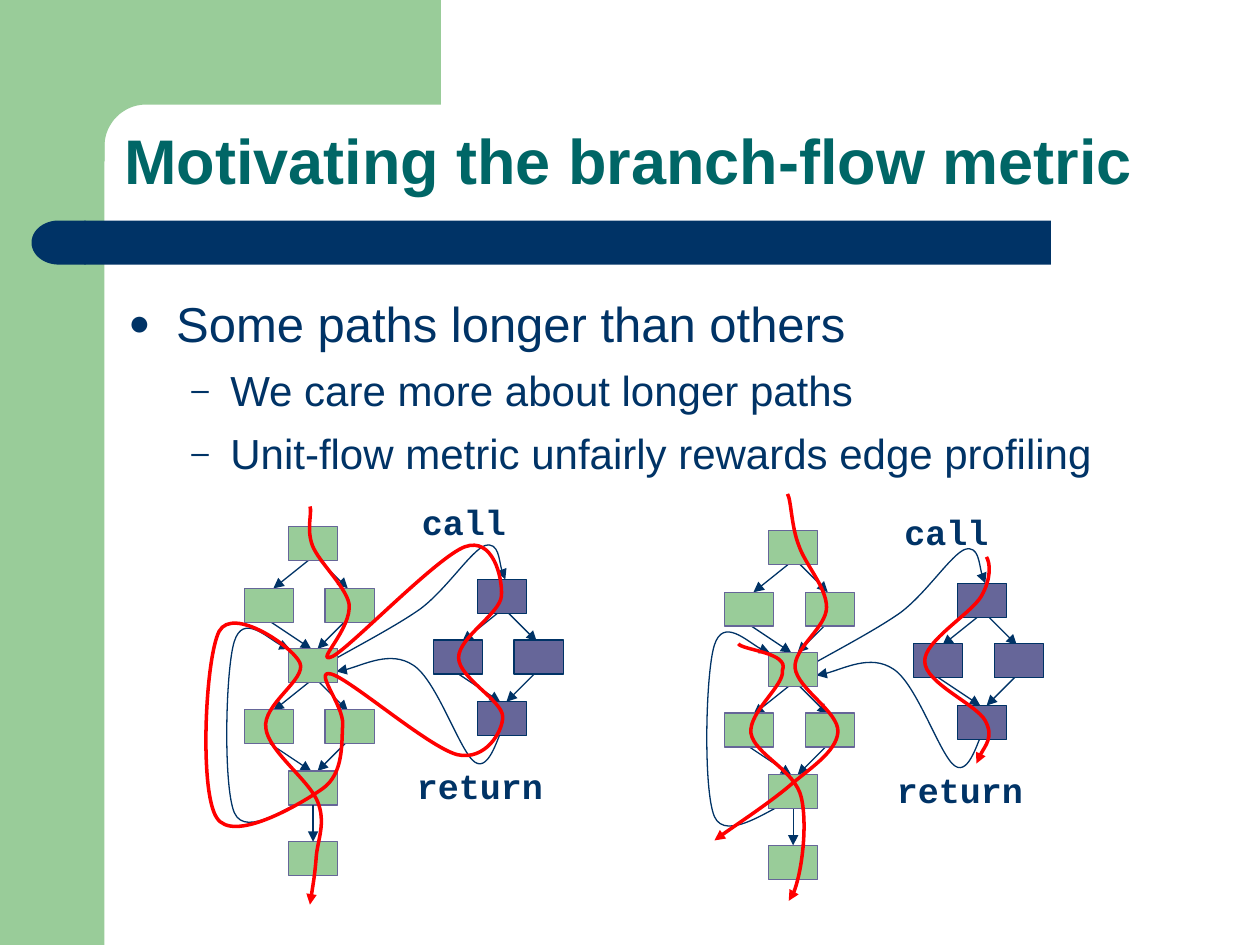
from math import cos, pi, sin

from lxml.etree import SubElement
from pptx import Presentation
from pptx.dml.color import RGBColor
from pptx.enum.shapes import MSO_CONNECTOR, MSO_SHAPE
from pptx.enum.text import MSO_ANCHOR, MSO_AUTO_SIZE
from pptx.oxml.ns import qn
from pptx.shapes.connector import Connector
from pptx.util import Cm, Pt

U = Cm(0.0254)  # all coordinates below count hundredths of an inch
GREEN, NAVY, PURPLE, RED, TEAL = "99CC99", "003366", "666699", "FF0000", "006666"
hex_color = RGBColor.from_string


def style(sp, fill=None, line=None, width=0.75, arrow=False):
    """Set fill, line and arrowhead of a shape or connector, without shadow."""
    if not isinstance(sp, Connector):
        sp.shadow.inherit = False
        if fill:
            sp.fill.solid()
            sp.fill.fore_color.rgb = hex_color(fill)
        else:
            sp.fill.background()
    if line:
        sp.line.color.rgb = hex_color(line)
        sp.line.width = Pt(width)
    else:
        sp.line.fill.background()
    if arrow:
        SubElement(sp.line._get_or_add_ln(), qn("a:tailEnd"), type="triangle")
    if isinstance(sp, Connector):
        SubElement(sp._element.spPr, qn("a:effectLst"))


def write(p, text, size, color=NAVY, font="Arial", bold=False):
    r = p.add_run()
    r.text = text
    r.font.size = Pt(size)
    r.font.name = font
    r.font.bold = bold
    r.font.color.rgb = hex_color(color)


prs = Presentation()
prs.slide_width, prs.slide_height = Cm(25.4), Cm(19.05)
shapes = prs.slides.add_slide(prs.slide_layouts[6]).shapes

# Green frame with a rounded inner corner
sp = shapes.add_shape(MSO_SHAPE.RECTANGLE, 0, 0, 83 * U, 750 * U)
style(sp, GREEN)
corner = [(1160 - 330 * sin(i * pi / 40), 1160 - 330 * cos(i * pi / 40)) for i in range(21)]
fb = shapes.build_freeform(3500, 0, scale=U / 10)
fb.add_line_segments([(3500, 830), *corner, (830, 1280), (500, 1280), (500, 0)])
style(fb.convert_to_shape(), GREEN)

# Navy bar with a round left end
sp = shapes.add_shape(MSO_SHAPE.RECTANGLE, 67 * U, 175 * U, 767 * U, 35 * U)
style(sp, NAVY)
sp = shapes.add_shape(MSO_SHAPE.FLOWCHART_DELAY, 25 * U, 175 * U, 43 * U, 35 * U)
sp.rotation = 180
style(sp, NAVY)

# Title
tf = shapes.add_textbox(89 * U, 89 * U, 856 * U, 73 * U).text_frame
tf.word_wrap = True
tf.vertical_anchor = MSO_ANCHOR.BOTTOM
tf.paragraphs[0].line_spacing = 0.9
write(tf.paragraphs[0], "Motivating the branch-flow metric", 36, TEAL, bold=True)

# Bulleted text
bullets = [
    (0, "Some paths longer than others"),
    (1, "We care more about longer paths"),
    (1, "Unit-flow metric unfairly rewards edge profiling"),
]
levels = [("●", 38, 38, 28), ("–", 81, 31, 24)]
tf = shapes.add_textbox(92 * U, 228 * U, 841 * U, 441 * U).text_frame
tf.word_wrap = True
for i, (level, text) in enumerate(bullets):
    char, margin, hang, size = levels[level]
    p = tf.add_paragraph() if i else tf.paragraphs[0]
    p.level = level
    p.space_before = Pt(7 if i else 0)
    pPr = p._p.get_or_add_pPr()
    pPr.set("marL", str(margin * U))
    pPr.set("indent", str(-hang * U))
    SubElement(SubElement(pPr, qn("a:buClr")), qn("a:srgbClr"), val=NAVY)
    SubElement(pPr, qn("a:buSzPct"), val="75000")
    SubElement(pPr, qn("a:buFont"), typeface="Arial")
    SubElement(pPr, qn("a:buChar"), char=char)
    write(p, text, size)

# Flow graph, given at the place of the left one
node_w, node_h = 39, 27
diamonds = [(229, 418), (229, 515), (379, 460)]
diamond_arrows = [(18, 25, -12, 49), (23, 25, 47, 49), (-18, 73, 18, 97), (47, 73, 23, 97)]
caller_nodes = [(229, 418), (194, 467), (258, 467), (229, 515),
                (194, 563), (258, 563), (229, 612), (229, 668)]
callee_nodes = [(379, 460), (344, 508), (408, 508), (379, 557)]
loop_edge = [(242, 635), (233, 637), (195, 666), (186, 645), (177, 624), (179, 531),
             (186, 509), (193, 487), (221, 514), (230, 515)]
return_edge = [(400, 576), (396, 581), (389, 613), (377, 605), (365, 597), (347, 540),
               (328, 528), (310, 516), (280, 532), (267, 533)]
call_edge = [(259, 527), (272, 519), (313, 498), (334, 483), (355, 467), (374, 437),
             (385, 433), (396, 430), (397, 455), (401, 460)]

# Red paths: a start point, then three points for each Bézier piece
whole_path = [
    (246, 402), (248, 406), (243, 420), (248, 433), (253, 446), (274, 465), (277, 479),
    (280, 499), (248, 528), (264, 521), (279, 513), (347, 442), (369, 434),
    (391, 426), (399, 458), (398, 473), (397, 487), (364, 506), (364, 522),
    (364, 538), (399, 556), (399, 569), (399, 581), (385, 604), (363, 599),
    (340, 593), (278, 539), (263, 535), (248, 531), (273, 560), (272, 575),
    (271, 590), (273, 614), (256, 626), (239, 638), (185, 670), (172, 649),
    (158, 628), (163, 522), (174, 501), (185, 481), (232, 513), (238, 526),
    (244, 539), (208, 559), (211, 578), (213, 596), (245, 619), (252, 636),
    (259, 653), (252, 667), (251, 680), (250, 694), (247, 711), (246, 718)]
entry_path = [
    (625, 392), (628, 397), (628, 418), (634, 433), (639, 448), (656, 466), (656, 482),
    (656, 498), (630, 514), (631, 530), (633, 547), (666, 565), (665, 581),
    (664, 597), (641, 611), (625, 625), (608, 639), (579, 658), (567, 667)]
callee_path = [
    (783, 442), (786, 447), (787, 459), (779, 473), (771, 487), (733, 509), (734, 525),
    (734, 542), (775, 559), (782, 572), (789, 585), (777, 599), (775, 606)]
exit_path = [
    (586, 511), (589, 516), (627, 518), (621, 532), (623, 544), (594, 565), (596, 582),
    (599, 599), (631, 611), (636, 633), (641, 655), (635, 707), (626, 715)]

graphs = [
    (0, 0, (325, 392), [whole_path]),
    (381, 3, (708, 400), [entry_path, callee_path, exit_path]),
]
for dx, dy, call_at, red_paths in graphs:
    edges = [[(x + dx, y + dy) for x, y in edge] for edge in (loop_edge, return_edge, call_edge)]
    curves = []
    for points, color, width in [(e, NAVY, 0.75) for e in edges] + [(r, RED, 2) for r in red_paths]:
        fb = shapes.build_freeform(*points[0], scale=U)
        fb.add_line_segments(points[1:], close=False)
        sp = fb.convert_to_shape()
        style(sp, line=color, width=width, arrow=True)
        outline = sp._element.find(".//" + qn("a:path"))
        steps = outline.findall(qn("a:lnTo"))
        for i in range(0, len(steps), 3):
            bezier = SubElement(outline, qn("a:cubicBezTo"))
            for step in steps[i:i + 3]:
                bezier.append(step[0])
                outline.remove(step)
        curves.append(sp)

    for x, y in diamonds:
        for x1, y1, x2, y2 in diamond_arrows:
            cx = shapes.add_connector(MSO_CONNECTOR.STRAIGHT, (x + dx + x1) * U, (y + dy + y1) * U,
                                      (x + dx + x2) * U, (y + dy + y2) * U)
            style(cx, line=NAVY, arrow=True)

    nodes = []
    for spots, fill, line in [(callee_nodes, PURPLE, NAVY), (caller_nodes, GREEN, PURPLE)]:
        for x, y in spots:
            sp = shapes.add_shape(MSO_SHAPE.RECTANGLE, (x + dx) * U, (y + dy) * U,
                                  node_w * U, node_h * U)
            style(sp, fill, line)
            nodes.append(sp)

    cx = shapes.add_connector(MSO_CONNECTOR.STRAIGHT, 0, 0, 0, 0)
    cx.begin_connect(nodes[-2], 2)
    cx.end_connect(nodes[-1], 0)
    style(cx, line=NAVY, arrow=True)

    for text, (x, y), w in [("call", call_at, 87), ("return", (321 + dx, 602 + dy), 120)]:
        tf = shapes.add_textbox(x * U, y * U, w * U, 44 * U).text_frame
        tf.word_wrap = False
        tf.auto_size = MSO_AUTO_SIZE.SHAPE_TO_FIT_TEXT
        write(tf.paragraphs[0], text, 20, font="Courier New", bold=True)

    for sp in curves[len(edges):]:  # red paths run in front of the nodes
        shapes._spTree.append(sp._element)

prs.save("out.pptx")
